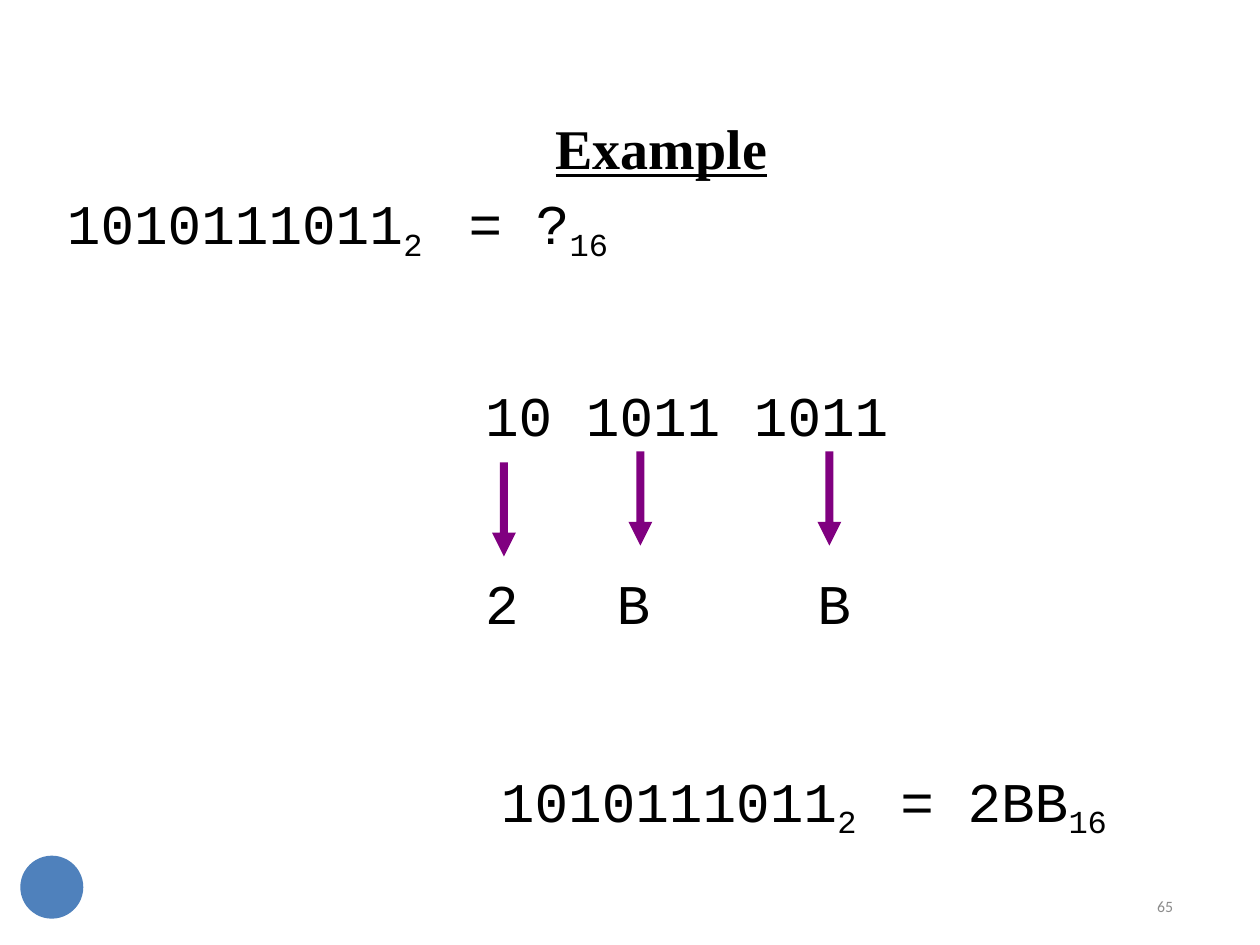
from dataclasses import dataclass

from lxml import etree
from pptx import Presentation
from pptx import util as u
from pptx.dml.color import RGBColor
from pptx.enum import shapes, text
from pptx.oxml import ns


@dataclass(frozen=True)
class Theme:
    ink: str = "000000"
    arrow: str = "800080"
    disc: str = "4F81BC"
    faint: str = "8C8C8C"
    mono: str = "Courier New"
    serif: str = "Times New Roman"
    sans: str = "Calibri"
    big: float = 32
    sub: float = 31.5
    small: float = 9


T = Theme()
CODE = {"name": T.mono, "size": u.Pt(T.big)}
LOW = {"name": T.mono, "size": u.Pt(T.sub)}
HEAD = {"name": T.serif, "size": u.Pt(T.big), "bold": True, "underline": True}
PAGE = {"name": T.sans, "size": u.Pt(T.small)}


def apply(item, form):
    for key, value in form.items():
        setattr(item, key, value)


def add_box(slide, area, top=0.03, anchor=text.MSO_ANCHOR.TOP):
    frame = slide.shapes.add_textbox(*map(u.Cm, area)).text_frame
    apply(frame, {
        "word_wrap": True, "vertical_anchor": anchor,
        "margin_left": 0, "margin_right": 0,
        "margin_top": u.Cm(top), "margin_bottom": 0,
    })
    return frame


def add_line(frame, runs, indent=0.03, tab=None, first=False, form=None):
    para = frame.paragraphs[0] if first else frame.add_paragraph()
    props = para._p.get_or_add_pPr()
    props.set("marL", str(u.Cm(indent)))
    props.set("indent", "0")
    if tab:
        place = str(u.Cm(tab))
        props.set("defTabSz", place)
        stops = etree.SubElement(props, ns.qn("a:tabLst"))
        etree.SubElement(stops, ns.qn("a:tab"), pos=place, algn="l")
    apply(para, form or {})
    for words, style, color in runs:
        run = para.add_run()
        run.text = words
        apply(run.font, style)
        run.font.color.rgb = RGBColor.from_string(color)
        if style is LOW:
            run._r.get_or_add_rPr().set("baseline", "-21000")


def make_sum(value):
    parts = [("1010111011", CODE), ("2\t", LOW), ("= ", CODE),
             (value, CODE), ("16", LOW)]
    return [(words, style, T.ink) for words, style in parts]


def add_solid(slide, kind, area, color):
    shape = slide.shapes.add_shape(kind, *map(u.Cm, area))
    shape.shadow.inherit = False
    shape.fill.solid()
    shape.fill.fore_color.rgb = RGBColor.from_string(color)
    shape.line.fill.background()
    return shape


def add_arrow(slide, left, top):
    kind = shapes.MSO_SHAPE.DOWN_ARROW
    arrow = add_solid(slide, kind, (left, top, 0.48, 1.9), T.arrow)
    arrow.adjustments[0] = 0.33
    arrow.adjustments[1] = 1


def add_digit(slide, digit, left):
    frame = add_box(slide, (left, 11.43, 0.76, 1.42))
    add_line(frame, [(digit, CODE, T.ink)], first=True)


def main():
    deck = Presentation()
    apply(deck, {"slide_width": u.Cm(25.4), "slide_height": u.Cm(19.05)})
    slide = deck.slides.add_slide(deck.slide_layouts[6])

    task = add_box(slide, (1.17, 2.11, 16.81, 6.68), 0.18)
    add_line(task, [("Example", HEAD, T.ink)], 10.03, first=True)
    add_line(task, make_sum("?"), 0.18, 8.1,
             form={"space_before": u.Pt(4.4)})
    add_line(task, [("10 1011 1011", CODE, T.ink)], 8.61,
             form={"space_before": u.Pt(67.7)})

    for digit, left, tip, top in (("2", 9.75, 9.92, 9.32),
                                  ("B", 12.4, 12.67, 9.1),
                                  ("B", 16.45, 16.48, 9.1)):
        add_digit(slide, digit, left)
        add_arrow(slide, tip, top)

    result = add_box(slide, (9.95, 15.42, 12.5, 1.42))
    add_line(result, make_sum("2BB"), 0.15, 8.05, first=True)

    add_solid(slide, shapes.MSO_SHAPE.OVAL, (0.41, 17.25, 1.27, 1.27), T.disc)
    page = add_box(slide, (17.93, 17.65, 5.72, 1.02), 0,
                   text.MSO_ANCHOR.MIDDLE)
    add_line(page, [("65", PAGE, T.faint)], 0.1, first=True,
             form={"alignment": text.PP_ALIGN.RIGHT,
                   "line_spacing": u.Pt(16.5)})
    deck.save("out.pptx")


if __name__ == "__main__":
    main()
